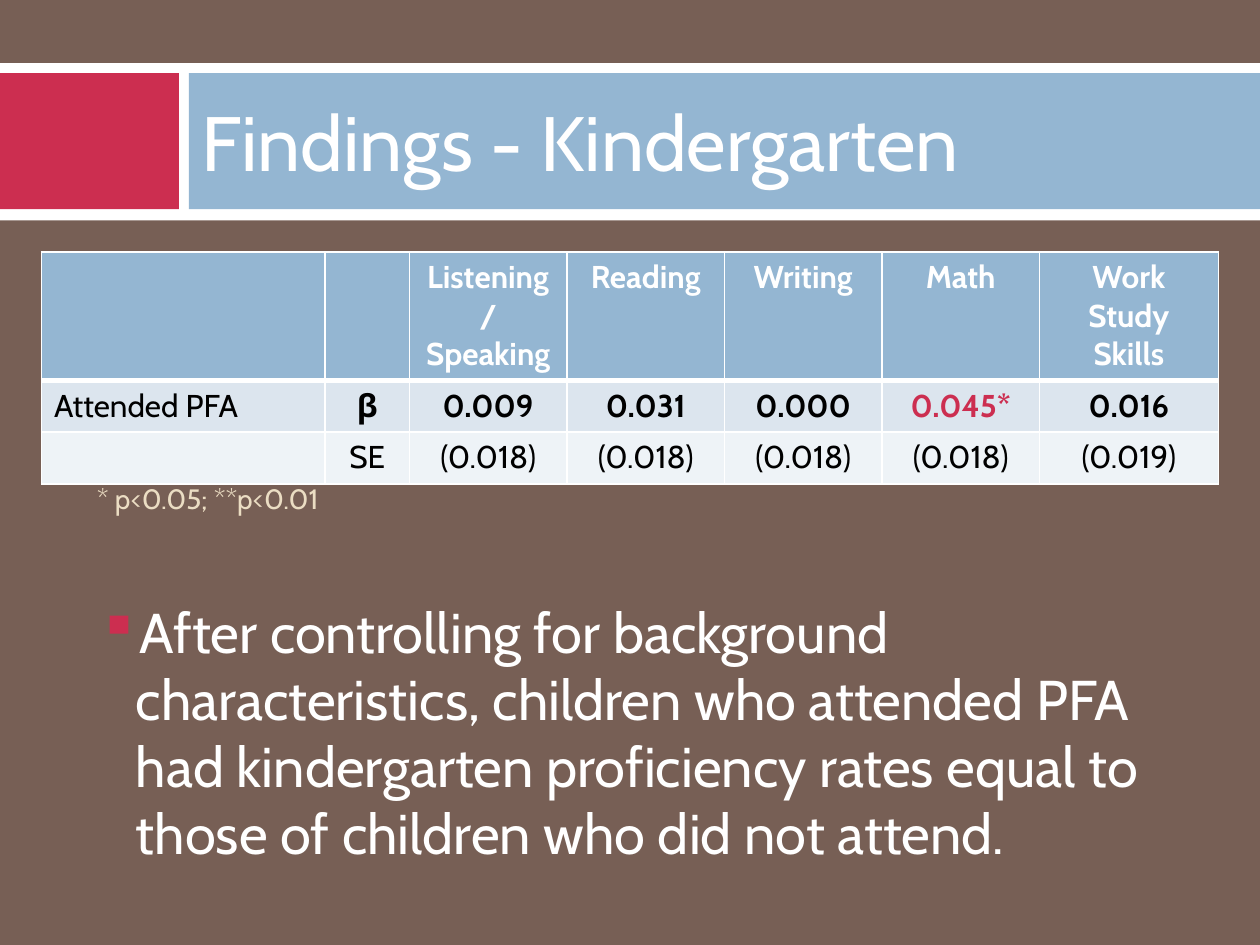
from lxml import etree
from pptx import Presentation
from pptx.dml.color import RGBColor
from pptx.enum import shapes, text
from pptx.oxml.ns import qn
from pptx.util import Inches, Pt

WHITE, RED, BLUE, BLACK = "FFFFFF", "CC2E50", "94B6D2", "000000"


def color(value):
    return RGBColor.from_string(value)


def style(frame, size, value, bold=False):
    """Format every run in a text frame."""
    for para in frame.paragraphs:
        for span in para.runs:
            span.font.name = "Cabin"
            span.font.size = Pt(size)
            span.font.bold = bold
            span.font.color.rgb = color(value)


deck = Presentation()
deck.slide_width, deck.slide_height = Inches(10), Inches(7.5)
page = deck.slides.add_slide(deck.slide_layouts[5])
page.background.fill.solid()
page.background.fill.fore_color.rgb = color("775F55")

# Title band
for left, top, width, height, fill in [
    (0, 0.5, 10, 1.25, WHITE),
    (0, 0.58, 1.42, 1.08, RED),
    (1.5, 0.58, 8.5, 1.08, BLUE),
]:
    band = page.shapes.add_shape(
        shapes.MSO_SHAPE.RECTANGLE, Inches(left), Inches(top), Inches(width), Inches(height))
    band.shadow.inherit = False
    band.fill.solid()
    band.fill.fore_color.rgb = color(fill)
    band.line.fill.background()

title = page.shapes.title
title.left, title.top, title.width, title.height = (
    Inches(1.5), Inches(0.58), Inches(8.33), Inches(1.08))
title.text_frame.text = "Findings - Kindergarten"
title.text_frame.vertical_anchor = text.MSO_ANCHOR.MIDDLE
title.text_frame.paragraphs[0].alignment = text.PP_ALIGN.LEFT
style(title.text_frame, 44, WHITE)
page.shapes._spTree.append(title._element)  # in front of the bands

# Footnote and finding
notes = []
for top, height, words, size, value in [
    (3.77, 0.4, "* p<0.05; **p<0.01", 16, "EBDDC3"),
    (4.69, 2.2, "After controlling for background characteristics, children who attended PFA "
                "had kindergarten proficiency rates equal to those of children who did not attend.",
     32, WHITE),
]:
    box = page.shapes.add_textbox(Inches(0.67), Inches(top), Inches(8.62), Inches(height))
    box.text_frame.word_wrap = True
    box.text_frame.text = words
    style(box.text_frame, size, value)
    notes.append(box)

bullet = notes[1].text_frame.paragraphs[0]._p.get_or_add_pPr()
bullet.set("marL", str(Inches(0.31)))
bullet.set("indent", str(Inches(-0.3)))
bullet_color = etree.SubElement(bullet, qn("a:buClr"))
etree.SubElement(bullet_color, qn("a:srgbClr"), val=RED)
etree.SubElement(bullet, qn("a:buChar"), char="▪")

# Results table
rows = [
    ["", "", "Listening/ Speaking", "Reading", "Writing", "Math", "Work Study Skills"],
    ["Attended PFA", "β", "0.009", "0.031", "0.000", "0.045*", "0.016"],
    ["", "SE", "(0.018)", "(0.018)", "(0.018)", "(0.018)", "(0.019)"],
]
row_fills = [BLUE, "DCE5EE", "EEF3F7"]
row_heights = [1.02, 0.41, 0.41]
col_widths = [2.25, 0.67, 1.25, 1.25, 1.25, 1.25, 1.42]

table = page.shapes.add_table(
    len(rows), len(col_widths), Inches(0.33), Inches(2),
    Inches(sum(col_widths)), Inches(sum(row_heights))).table
for column, width in zip(table.columns, col_widths):
    column.width = Inches(width)

for r, values in enumerate(rows):
    table.rows[r].height = Inches(row_heights[r])
    for c, value in enumerate(values):
        cell = table.cell(r, c)
        cell.text_frame.text = value
        if c > 0:
            cell.text_frame.paragraphs[0].alignment = text.PP_ALIGN.CENTER
        ink = WHITE if r == 0 else RED if value.endswith("*") else BLACK
        style(cell.text_frame, 18, ink, bold=r == 0 or (r == 1 and c > 0))
        heavy = {0: "lnB", 1: "lnT"}.get(r)
        for side in ("lnL", "lnR", "lnT", "lnB"):
            border = etree.SubElement(cell._tc.get_or_add_tcPr(), qn("a:" + side),
                                      w=str(Pt(3 if side == heavy else 1)))
            paint = etree.SubElement(border, qn("a:solidFill"))
            etree.SubElement(paint, qn("a:srgbClr"), val=WHITE)
        cell.fill.solid()
        cell.fill.fore_color.rgb = color(row_fills[r])

deck.save("out.pptx")
